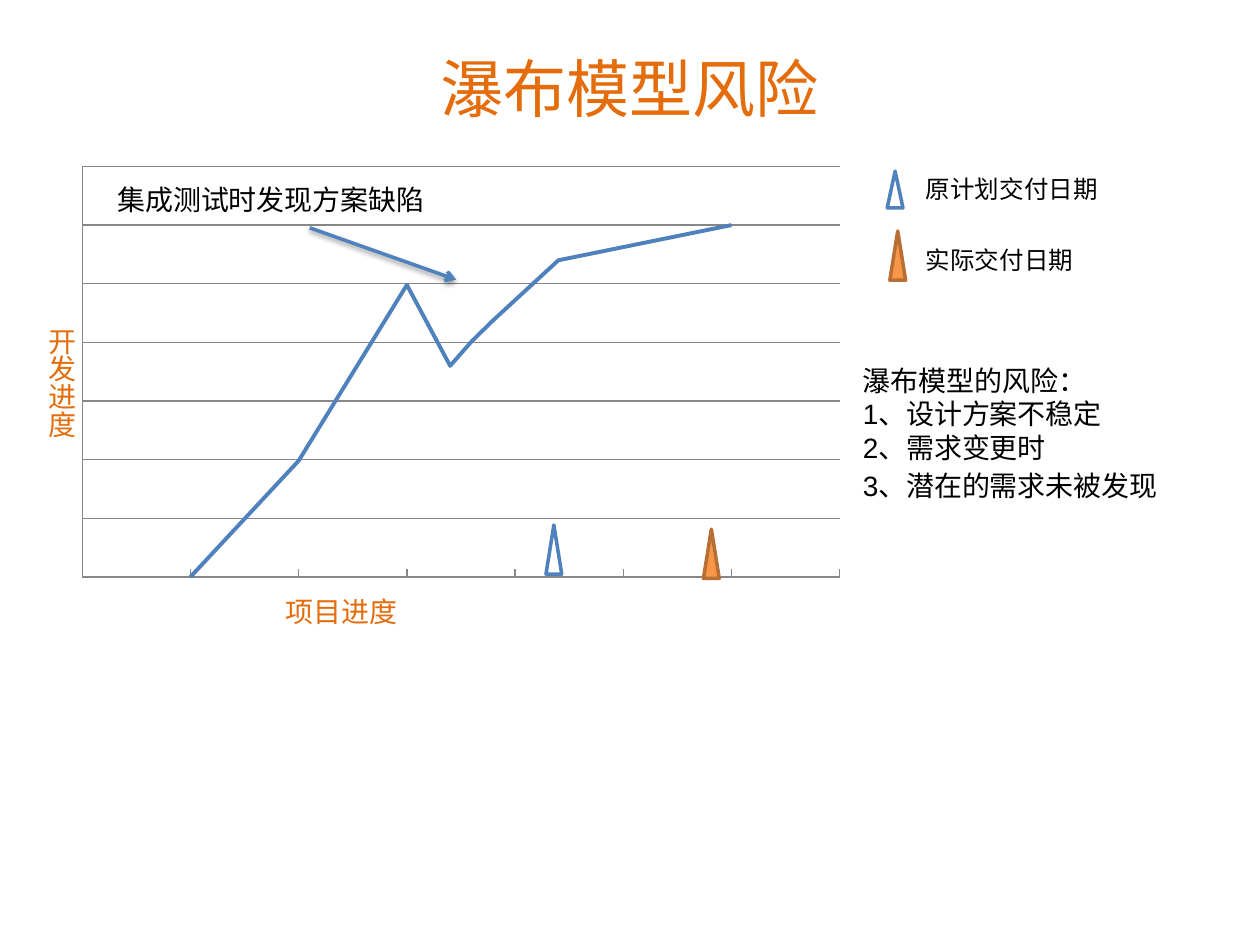
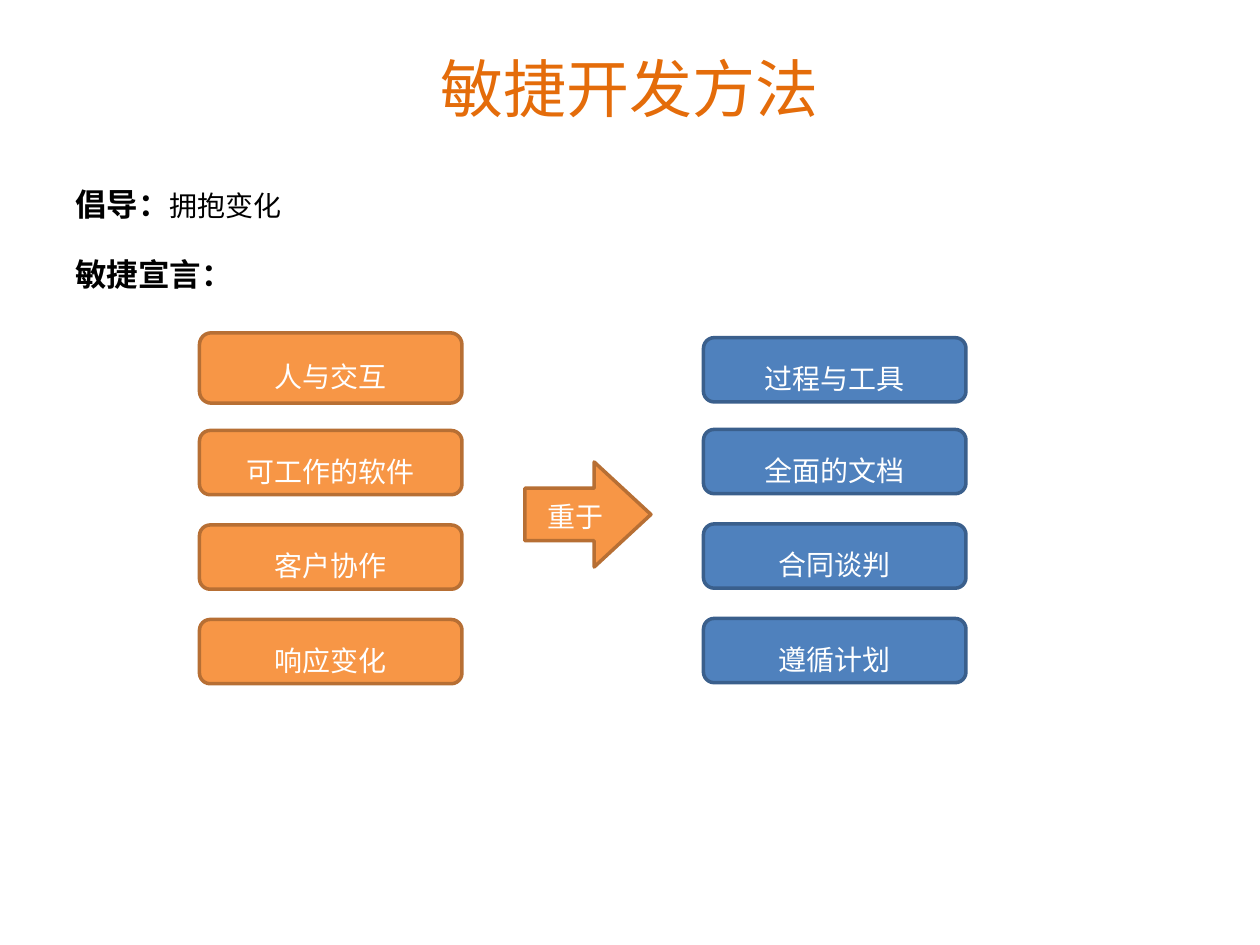
from dataclasses import dataclass

from lxml import etree
from pptx import Presentation
from pptx.chart.data import XyChartData
from pptx.dml.color import RGBColor
from pptx.enum.chart import XL_CHART_TYPE as ChartType
from pptx.enum.chart import XL_TICK_LABEL_POSITION as LabelPosition
from pptx.enum.chart import XL_TICK_MARK as TickMark
from pptx.enum.shapes import MSO_CONNECTOR as Connector
from pptx.enum.shapes import MSO_SHAPE as Shape
from pptx.enum.text import MSO_ANCHOR as Anchor
from pptx.enum.text import PP_ALIGN as Align
from pptx.oxml import parse_xml
from pptx.oxml.ns import nsdecls, qn
from pptx.util import Inches, Pt


@dataclass(frozen=True)
class Theme:
    title: str = "E46C0A"
    ink: str = "000000"
    paper: str = "FFFFFF"
    blue: str = "4F81BD"
    blue_edge: str = "3A5F8C"
    orange: str = "F79646"
    orange_edge: str = "B76F34"
    grid: str = "878787"
    font: str = "Noto Sans CJK SC"
    list_font: str = "Arial"
    chart_font: str = "Calibri"
    title_size: int = 36
    lead_size: int = 18
    body_size: int = 16
    legend_size: int = 14
    line_height: float = 1.2
    edge_width: float = 2


THEME = Theme()
WIDTH, HEIGHT = Inches(10), Inches(7.5)
CELL = WIDTH / 120  # the grid has 120 columns and 90 rows


def grid(*cells):
    return [round(cell * CELL) for cell in cells]


def rgb(color):
    return RGBColor.from_string(color)


# Text
def style(paragraph, size, color, font=THEME.font, lines=1.0, align=Align.LEFT):
    paragraph.alignment = align
    paragraph.line_spacing = Pt(size * THEME.line_height * lines)
    paragraph.font.size = Pt(size)
    paragraph.font.color.rgb = rgb(color)
    paragraph.font.name = font
    defaults = paragraph._p.pPr.find(qn("a:defRPr"))
    etree.SubElement(defaults, qn("a:ea")).set("typeface", THEME.font)


def add_frame(slide, area):
    frame = slide.shapes.add_textbox(*grid(*area)).text_frame
    frame.word_wrap = True
    return frame


def add_label(slide, area, text, size=THEME.body_size, color=THEME.ink, **options):
    frame = add_frame(slide, area)
    frame.text = text
    style(frame.paragraphs[0], size, color, **options)
    return frame


def add_title(slide, text):
    frame = add_label(slide, (6, 3.6, 108, 9.36), text, THEME.title_size,
                      THEME.title, align=Align.CENTER)
    frame.vertical_anchor = Anchor.MIDDLE


# Shapes
def add_figure(slide, kind, area, fill, edge):
    figure = slide.shapes.add_shape(kind, *grid(*area))
    figure.shadow.inherit = False
    figure.fill.solid()
    figure.fill.fore_color.rgb = rgb(fill)
    figure.line.color.rgb = rgb(edge)
    figure.line.width = Pt(THEME.edge_width)
    return figure


def add_date_marker(slide, col, row, actual, rows=4.68):
    colors = ((THEME.orange, THEME.orange_edge) if actual
              else (THEME.paper, THEME.blue))
    add_figure(slide, Shape.ISOSCELES_TRIANGLE, (col, row, 1.5, rows), *colors)


def add_pointer(slide, start, end):
    pointer = slide.shapes.add_connector(Connector.STRAIGHT, *grid(*start, *end))
    pointer.line.color.rgb = rgb(THEME.blue)
    pointer.line.width = Pt(THEME.edge_width)
    pointer.line._get_or_add_ln().append(
        parse_xml(f'<a:tailEnd {nsdecls("a")} type="arrow"/>'))
    pointer._element.spPr.append(parse_xml(
        f'<a:effectLst {nsdecls("a")}>'
        f'<a:outerShdw blurRad="{Pt(3.1)}" dist="{Pt(1.6)}" dir="5400000" '
        f'rotWithShape="0"><a:srgbClr val="{THEME.ink}"><a:alpha val="38000"/>'
        '</a:srgbClr></a:outerShdw></a:effectLst>'))


def add_pills(slide, col, row, first, texts, fill, edge):
    """Stack values nine rows apart; first is the top and height of the top one."""
    for i, text in enumerate(texts):
        top, rows = (row + 9 * i, 6.12) if i else first
        pill = add_figure(slide, Shape.ROUNDED_RECTANGLE, (col, top, 25, rows),
                          fill, edge)
        frame = pill.text_frame
        frame.word_wrap = True
        frame.vertical_anchor = Anchor.MIDDLE
        frame.text = text
        style(frame.paragraphs[0], THEME.body_size, THEME.paper, lines=1.5,
              align=Align.CENTER)


# Chart
def style_axis(axis, low, high, step, gridlines):
    axis.minimum_scale, axis.maximum_scale, axis.major_unit = low, high, step
    axis.has_major_gridlines = gridlines
    axis.major_tick_mark = TickMark.INSIDE
    axis.minor_tick_mark = TickMark.NONE
    axis.tick_label_position = LabelPosition.NONE
    lines = [axis.format.line]
    if gridlines:
        lines.append(axis.major_gridlines.format.line)
    for line in lines:
        line.color.rgb = rgb(THEME.grid)
        line.width = Pt(0.75)


def place_plot(chart, **shares):
    plot_area = chart._chartSpace.chart.plotArea
    for old in plot_area.findall(qn("c:layout")):
        plot_area.remove(old)
    parts = "".join(f'<c:{key} val="{share}"/>' for key, share in shares.items())
    plot_area.insert(0, parse_xml(
        f'<c:layout {nsdecls("c")}><c:manualLayout><c:layoutTarget val="inner"/>'
        f'<c:xMode val="edge"/><c:yMode val="edge"/>{parts}'
        '</c:manualLayout></c:layout>'))


def add_progress_chart(slide, area, points):
    data = XyChartData()
    progress = data.add_series("Series 1")
    for time, done in points:
        progress.add_data_point(time, done)
    chart = slide.shapes.add_chart(
        ChartType.XY_SCATTER_SMOOTH_NO_MARKERS, *grid(*area), data).chart
    chart.has_legend = chart.has_title = False
    chart.font.name = THEME.chart_font
    chart.font.size = Pt(THEME.lead_size)
    chart.font.color.rgb = rgb(THEME.ink)
    chart.plots[0].vary_by_categories = False
    curve = chart.plots[0].series[0]
    curve.smooth = True
    curve.format.line.color.rgb = rgb(THEME.blue)
    curve.format.line.width = Pt(2.25)
    step = 16.67
    style_axis(chart.category_axis, 0.5, 4, 0.5, False)
    style_axis(chart.value_axis, 0, 7 * step, step, True)
    place_plot(chart, x=0.017, y=0.034, w=0.668, h=0.734)


# Slides
def build_risk_slide(slide):
    add_title(slide, "瀑布模型风险")
    add_progress_chart(slide, (6, 14.04, 108, 53.28), [
        (1, 0), (1.5, 33), (2, 83), (2.2, 60),
        (2.3, 67), (2.4, 73), (2.7, 90), (3.5, 100)])

    # Axis names
    upright = add_label(slide, (2.4, 30, 5.64, 14.04), "开发进度", color=THEME.title)
    upright._txBody.bodyPr.set("vert", "eaVert")
    add_label(slide, (26, 56, 18, 4.44), "项目进度", color=THEME.title)

    # Delivery dates on the time axis and in the legend
    add_date_marker(slide, 52, 50, actual=False)
    add_date_marker(slide, 67, 50.4, actual=True)
    add_date_marker(slide, 84.5, 16.3, actual=False, rows=3.5)
    add_date_marker(slide, 84.75, 22, actual=True)
    for row, text in ((16, "原计划交付日期"), (22.7, "实际交付日期")):
        add_label(slide, (87, row, 25.5, 4), text, THEME.legend_size)

    # Remark on the dip
    add_label(slide, (10, 16.8, 37, 4.44), "集成测试时发现方案缺陷")
    add_pointer(slide, (29.5, 21.7), (43.45, 26.64))

    # Risks
    risks = add_label(slide, (81, 34, 37.5, 10.9), "瀑布模型的风险：")
    for text in ("1、设计方案不稳定", "2、需求变更时"):
        risk = risks.add_paragraph()
        risk.text = text
        style(risk, THEME.body_size, THEME.ink, THEME.list_font)
    add_label(slide, (81, 44, 37.5, 4.44), "3、潜在的需求未被发现",
              font=THEME.list_font)


def build_agile_slide(slide):
    add_title(slide, "敏捷开发方法")

    # Principle and manifesto heading
    intro = add_frame(slide, (6, 17, 43, 11.8))
    principle, manifesto = intro.paragraphs[0], intro.add_paragraph()
    for paragraph, heading in ((principle, "倡导："), (manifesto, "敏捷宣言：")):
        style(paragraph, THEME.lead_size, THEME.ink)
        run = paragraph.add_run()
        run.text = heading
        run.font.bold = True
    manifesto.space_before = Pt(18.5)
    motto = principle.add_run()
    motto.text = "拥抱变化"
    motto.font.size = Pt(THEME.body_size)

    # Preferred values against the others
    add_pills(slide, 19, 32, (31.7, 6.7),
              ("人与交互", "可工作的软件", "客户协作", "响应变化"),
              THEME.orange, THEME.orange_edge)
    add_pills(slide, 67, 31.9, (32.16, 6.12),
              ("过程与工具", "全面的文档", "合同谈判", "遵循计划"),
              THEME.blue, THEME.blue_edge)
    arrow = add_figure(slide, Shape.RIGHT_ARROW, (50, 44, 12, 10),
                       THEME.orange, THEME.orange_edge)
    arrow.adjustments[1] = 0.54
    add_label(slide, (51, 47, 9, 4.44), "重于", color=THEME.paper)


def main():
    deck = Presentation()
    deck.slide_width, deck.slide_height = WIDTH, HEIGHT
    for build in (build_risk_slide, build_agile_slide):
        build(deck.slides.add_slide(deck.slide_layouts[6]))
    deck.save("out.pptx")


if __name__ == "__main__":
    main()
